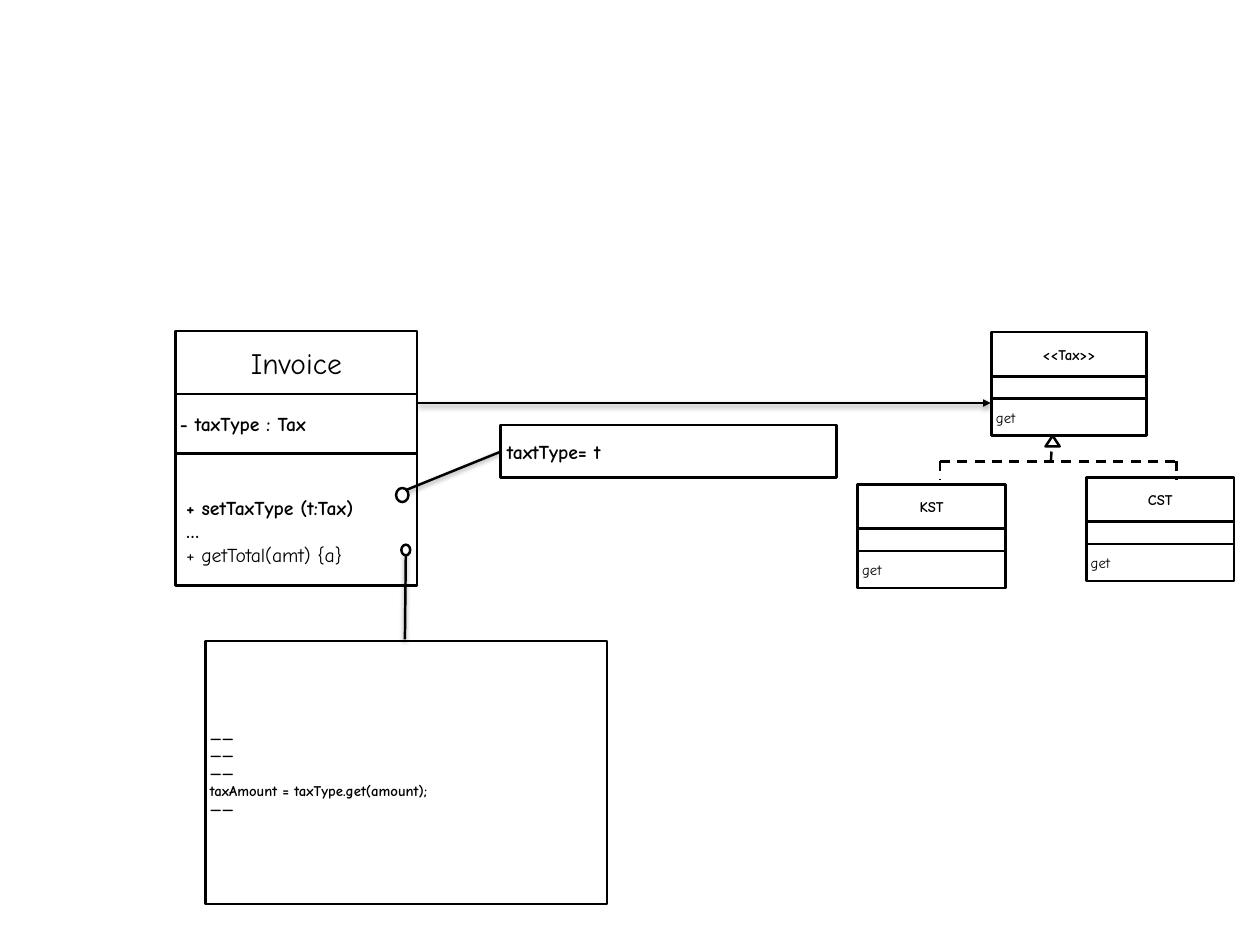
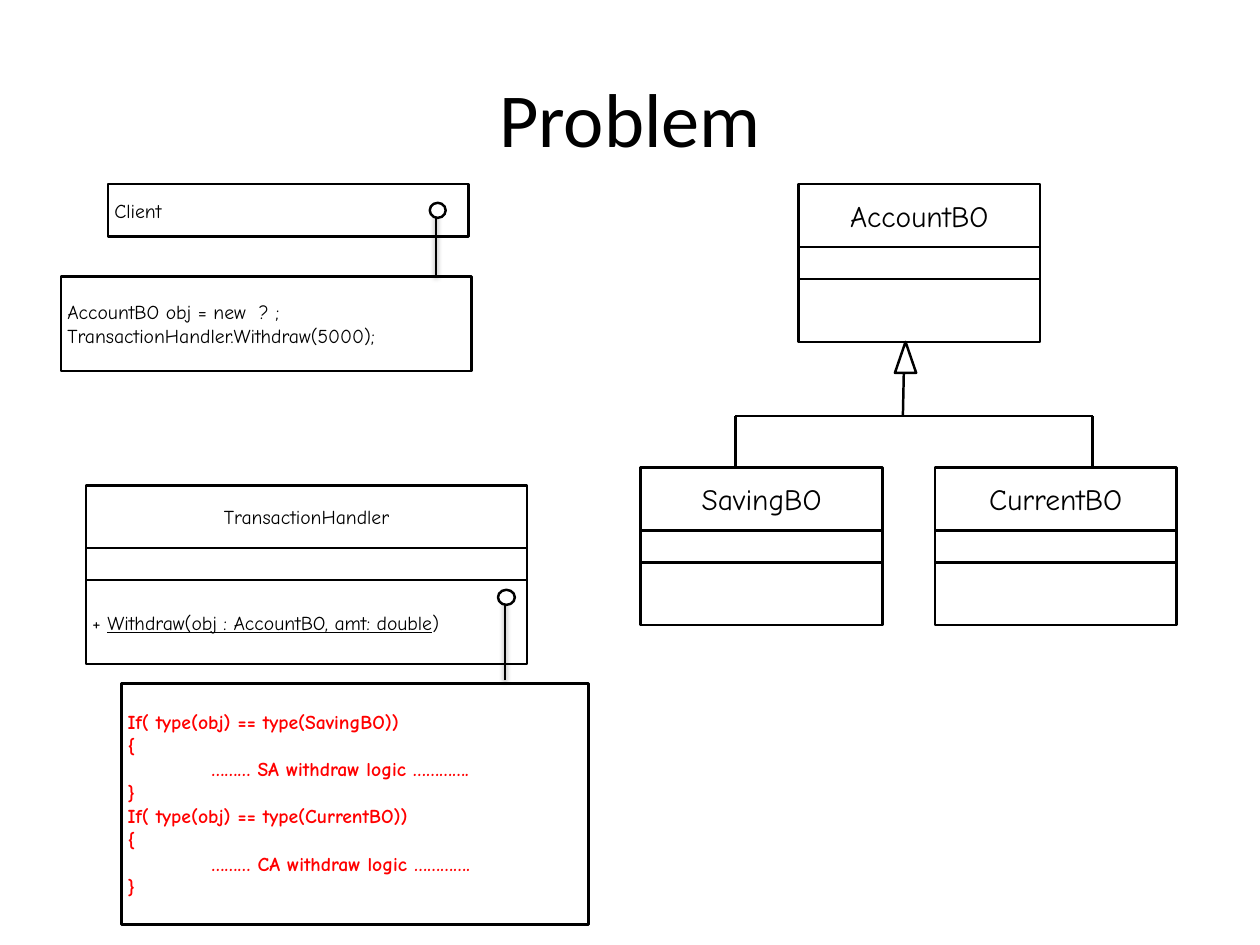
"""Build two slides of class diagrams about tax types and account objects."""
from lxml import etree
from pptx import Presentation
from pptx.dml.color import RGBColor
from pptx.enum.dml import MSO_LINE_DASH_STYLE as DASH
from pptx.enum.shapes import MSO_CONNECTOR, MSO_SHAPE as SHAPE
from pptx.enum.text import MSO_ANCHOR, PP_ALIGN as ALIGN
from pptx.oxml import parse_xml
from pptx.oxml.ns import qn
from pptx.util import Inches, Pt

COLORS = {"ink": "000000", "paper": "FFFFFF", "code": "FF0000"}
DIAGRAM_FONT, TITLE_FONT = "Comic Neue", "Calibri"
LINE_WIDTH = Pt(2)
INK = RGBColor.from_string(COLORS["ink"])
PAPER = RGBColor.from_string(COLORS["paper"])
DRAWING_NS = "http://schemas.openxmlformats.org/drawingml/2006/main"
SHADOW = (
    f'<a:effectLst xmlns:a="{DRAWING_NS}">'
    '<a:outerShdw blurRad="50800" dist="25400" dir="5400000" rotWithShape="0">'
    f'<a:srgbClr val="{COLORS["ink"]}"><a:alpha val="38000"/></a:srgbClr>'
    "</a:outerShdw></a:effectLst>"
)


def add_box(slide, at, text=(), kind=SHAPE.RECTANGLE, size=16, bold=False, color="ink",
            font=DIAGRAM_FONT, align=ALIGN.LEFT, inset=0.07, left_inset=None, top_inset=None):
    place = [Inches(value) for value in at]
    if kind is None:
        shape = slide.shapes.add_textbox(*place)
    else:
        shape = slide.shapes.add_shape(kind, *place)
        shape.shadow.inherit = False
        shape.fill.solid()
        shape.fill.fore_color.rgb = PAPER
        shape.line.color.rgb = INK
        shape.line.width = LINE_WIDTH
    if not text:
        return
    frame = shape.text_frame
    frame.word_wrap = True
    frame.vertical_anchor = MSO_ANCHOR.MIDDLE
    frame.margin_right = frame.margin_bottom = Inches(inset)
    frame.margin_left = Inches(inset if left_inset is None else left_inset)
    frame.margin_top = Inches(inset if top_inset is None else top_inset)
    for index, line in enumerate([text] if isinstance(text, str) else text):
        paragraph = frame.add_paragraph() if index else frame.paragraphs[0]
        paragraph.alignment = align
        for words, changes in [(line, {})] if isinstance(line, str) else line:
            run = paragraph.add_run()
            run.text = words
            run.font.name = font
            run.font.size = Pt(size)
            run.font.bold = changes.get("bold", bold)
            run.font.underline = changes.get("underline", False)
            run.font.color.rgb = RGBColor.from_string(COLORS[color])


def add_line(slide, start, end, dash=None, arrow=False, shadow=False):
    ends = [Inches(value) for value in (*start, *end)]
    line = slide.shapes.add_connector(MSO_CONNECTOR.STRAIGHT, *ends)
    line.line.color.rgb = INK
    line.line.width = LINE_WIDTH
    if dash:
        line.line.dash_style = dash
    properties = line._element.spPr
    if arrow:
        etree.SubElement(properties.find(qn("a:ln")), qn("a:tailEnd"), type="triangle")
    if shadow:
        properties.append(parse_xml(SHADOW))
    else:
        etree.SubElement(properties, qn("a:effectLst"))


heading = dict(size=24, align=ALIGN.CENTER)
small = dict(size=12, inset=0.05)
small_heading = dict(small, bold=True, align=ALIGN.CENTER)

invoice_methods = ["+ setTaxType (t:Tax)", "…", [("+ getTotal(amt) {a}", {"bold": False})]]
invoice_rows = [
    (0.71, "Invoice", heading),
    (0.67, "- taxType : Tax", dict(bold=True, left_inset=0.05)),
    (1.49, invoice_methods, dict(bold=True, left_inset=0.12, top_inset=0.33)),
]
withdraw_method = [
    ("+ ", {}),
    ("Withdraw(obj : AccountBO, amt: double", {"underline": True}),
    (")", {}),
]
handler_rows = [
    (0.71, "TransactionHandler", dict(align=ALIGN.CENTER)),
    (0.36, (), {}),
    (0.95, [withdraw_method], {}),
]
tax_classes = [(1.98, 3.74, 2.73, invoice_rows)]
for name, left, top, width in [
    ("KST", 9.68, 5.47, 1.67),
    ("CST", 12.26, 5.39, 1.67),
    ("<<Tax>>", 11.19, 3.75, 1.75),
]:
    rows = [(0.5, name, small_heading), (0.25, (), {}), (0.42, "get", small)]
    tax_classes.append((left, top, width, rows))
account_classes = [(0.97, 5.48, 4.98, handler_rows)]
for name, left, top in [
    ("AccountBO", 9.01, 2.08),
    ("SavingBO", 7.23, 5.28),
    ("CurrentBO", 10.55, 5.28),
]:
    rows = [(0.71, name, heading), (0.36, (), {}), (0.71, (), {})]
    account_classes.append((left, top, 2.73, rows))

tax_code = ["——", "——", "——", "taxAmount = taxType.get(amount);", "——"]
client_code = ["AccountBO obj = new  ? ;", "TransactionHandler.Withdraw(5000);"]
withdraw_code = []
for account, initials in [("SavingBO", "SA"), ("CurrentBO", "CA")]:
    withdraw_code += [
        f"If( type(obj) == type({account}))",
        "{",
        f"            ……… {initials} withdraw logic ………….",
        "}",
    ]

slides = [
    dict(
        classes=tax_classes,
        notes=[
            ((2.32, 7.24, 4.53, 2.97), tax_code, dict(small, bold=True)),
            ((5.65, 4.8, 3.79, 0.59), "taxtType= t", dict(bold=True)),
        ],
        links=[((5.65, 5.1), (4.59, 5.53)), ((4.57, 7.22), (4.58, 6.24))],
        circles=[(4.47, 5.51, 0.14, 0.16), (4.53, 6.15, 0.1, 0.12)],
        tree=dict(left=10.61, right=13.28, bar=5.21, bottom=5.42, stem=(11.86, 11.87),
                  tip=(11.88, 4.92), half=0.08, base=5.04, dash=DASH.DASH),
    ),
    dict(
        classes=account_classes,
        notes=[
            ((1.37, 7.72, 5.27, 2.72), withdraw_code, dict(bold=True, color="code")),
            ((1.22, 2.08, 4.07, 0.59), "Client", {}),
            ((0.69, 3.12, 4.63, 1.07), client_code, {}),
        ],
        links=[((5.7, 7.68), (5.7, 6.78)), ((4.92, 3.12), (4.92, 2.41))],
        circles=[(5.62, 6.66, 0.19, 0.17), (4.85, 2.29, 0.18, 0.17)],
        tree=dict(left=8.3, right=12.33, bar=4.7, bottom=5.3, stem=(10.19, 10.2),
                  tip=(10.22, 3.86), half=0.12, base=4.21, dash=None),
    ),
]

presentation = Presentation()
presentation.slide_width, presentation.slide_height = Inches(14.22), Inches(10.67)

for content in slides:
    slide = presentation.slides.add_slide(presentation.slide_layouts[6])
    for left, top, width, rows in content["classes"]:
        for height, text, text_format in rows:
            add_box(slide, (left, top, width, height), text, **text_format)
            top += height
    for at, text, text_format in content["notes"]:
        add_box(slide, at, text, **text_format)
    for start, end in content["links"]:
        add_line(slide, start, end, shadow=True)
    for at in content["circles"]:
        add_box(slide, at, kind=SHAPE.OVAL)

    tree = content["tree"]
    bar, base, dash = tree["bar"], tree["base"], tree["dash"]
    add_line(slide, (tree["left"], bar), (tree["right"], bar), dash=dash)
    for x in (tree["left"], tree["right"]):
        add_line(slide, (x, bar), (x, tree["bottom"]), dash=dash)
    stem_bottom, stem_top = tree["stem"]
    add_line(slide, (stem_bottom, bar), (stem_top, base + 0.01), dash=dash)
    tip_x, tip_y = tree["tip"]
    builder = slide.shapes.build_freeform(Inches(tip_x - tree["half"]), Inches(base))
    builder.add_line_segments(
        [(Inches(tip_x), Inches(tip_y)), (Inches(tip_x + tree["half"]), Inches(base))]
    )
    triangle = builder.convert_to_shape()
    triangle.shadow.inherit = False
    triangle.fill.solid()
    triangle.fill.fore_color.rgb = PAPER
    triangle.line.color.rgb = INK
    triangle.line.width = LINE_WIDTH

tax_slide, problem_slide = presentation.slides
add_line(tax_slide, (4.72, 4.55), (11.18, 4.55), arrow=True, shadow=True)
add_box(problem_slide, (0.71, 0.43, 12.8, 1.78), "Problem", kind=None,
        size=62, font=TITLE_FONT, align=ALIGN.CENTER)

presentation.save("out.pptx")
